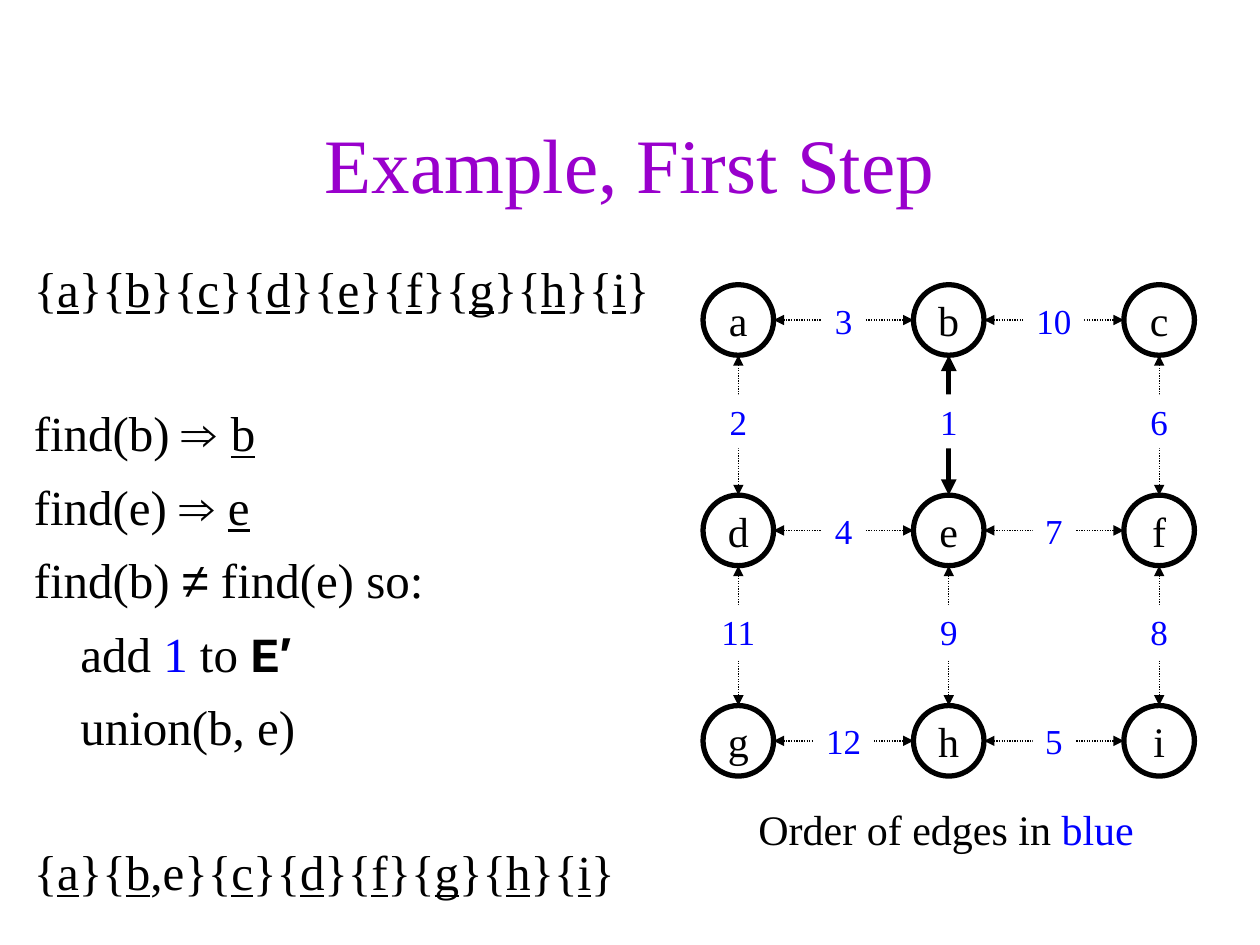
from lxml.etree import SubElement
from pptx import Presentation
from pptx.dml.color import RGBColor
from pptx.enum.dml import MSO_LINE
from pptx.enum.shapes import MSO_CONNECTOR, MSO_SHAPE
from pptx.enum.text import MSO_ANCHOR, PP_ALIGN
from pptx.oxml.ns import qn
from pptx.util import Inches, Pt

COLORS = {name: RGBColor.from_string(code) for name, code in {
    "title": "9900CC", "ink": "000000", "blue": "0000FF", "paper": "FFFFFF"}.items()}
SERIF = "Times New Roman"


def style(font, size, color):
    font.name = SERIF
    font.size = Pt(size)
    font.color.rgb = COLORS[color]


def add_label(kind, text, center_x, center_y, width, height, size, color):
    shape = page.shapes.add_shape(kind, Inches(center_x - width / 2), Inches(center_y - height / 2),
                                  Inches(width), Inches(height))
    shape.shadow.inherit = False
    frame = shape.text_frame
    frame.word_wrap = False
    frame.vertical_anchor = MSO_ANCHOR.MIDDLE
    para = frame.paragraphs[0]
    para.text = text
    para.alignment = PP_ALIGN.CENTER
    style(para.font, size, color)
    return shape


deck = Presentation()
deck.slide_width = Inches(10)
deck.slide_height = Inches(7.5)
page = deck.slides.add_slide(deck.slide_layouts[5])

title = page.shapes.title
title.left, title.top, title.width, title.height = [Inches(n) for n in (0.75, 0.67, 8.5, 1.25)]
title.text_frame.vertical_anchor = MSO_ANCHOR.MIDDLE
heading = title.text_frame.paragraphs[0]
heading.text = "Example, First Step"
heading.alignment = PP_ALIGN.CENTER
style(heading.font, 44, "title")

sets_before = [("{", "")]
sets_after = [("{", "")]
for name in "abcdefghi":
    ending = "}" if name == "i" else "}{"
    sets_before += [(name, "underline"), (ending, "")]
    if name != "e":
        sets_after += [(name, "underline"), (",e}{" if name == "b" else ending, "")]

LINE_GAP, BLOCK_GAP = 8.4, 49
steps = [
    (0, LINE_GAP, sets_before),
    (0, BLOCK_GAP, [("find(b) ", ""), ("⇒ ", "arial"), ("b", "underline")]),
    (0, LINE_GAP, [("find(e) ", ""), ("⇒ ", "arial"), ("e", "underline")]),
    (0, LINE_GAP, [("find(b) ", ""), ("≠", "arial"), (" find(e) so:", "")]),
    (0.37, LINE_GAP, [("add ", ""), ("1", "blue"), (" to ", ""),
                      ("E", "courier bold"), ("′", "arial bold")]),
    (0.37, LINE_GAP, [("union(b, e)", "")]),
    (0, BLOCK_GAP, sets_after),
]
box = page.shapes.add_textbox(Inches(0.17), Inches(2), Inches(5.17), Inches(4.5))
frame = box.text_frame
frame.word_wrap = True
for number, (indent, gap, pieces) in enumerate(steps):
    para = frame.add_paragraph() if number else frame.paragraphs[0]
    para.space_before = Pt(gap)
    para._p.get_or_add_pPr().set("marL", str(Inches(indent)))
    style(para.font, 28, "ink")
    for text, look in pieces:
        span = para.add_run()
        span.text = text
        if "underline" in look:
            span.font.underline = True
        if "bold" in look:
            span.font.bold = True
        if "arial" in look:
            span.font.name = "Arial"
        if "courier" in look:
            span.font.name = "Courier New"
        if "blue" in look:
            span.font.color.rgb = COLORS["blue"]

LEFT, TOP, STEP, RADIUS = 5.86, 2.54, 1.67, 0.28
nodes = ["abc", "def", "ghi"]
across = [["3", "10"], ["4", "7"], ["12", "5"]]
down = [["2", "1", "6"], ["11", "9", "8"]]

for row, names in enumerate(nodes):
    for column, name in enumerate(names):
        node = add_label(MSO_SHAPE.OVAL, name, LEFT + column * STEP, TOP + row * STEP,
                         2 * RADIUS, 2 * RADIUS, 24, "ink")
        node.fill.background()
        node.line.color.rgb = COLORS["ink"]
        node.line.width = Pt(3)

edges = [(order, row, column, 1, 0) for row, orders in enumerate(across)
         for column, order in enumerate(orders)]
edges += [(order, row, column, 0, 1) for row, orders in enumerate(down)
          for column, order in enumerate(orders)]
for order, row, column, dx, dy in edges:
    x, y = LEFT + column * STEP, TOP + row * STEP
    near, far = RADIUS, STEP - RADIUS
    edge = page.shapes.add_connector(
        MSO_CONNECTOR.STRAIGHT, Inches(x + dx * near), Inches(y + dy * near),
        Inches(x + dx * far), Inches(y + dy * far))
    edge.line.color.rgb = COLORS["ink"]
    chosen = order == "1"
    edge.line.width = Pt(3 if chosen else 0.75)
    if not chosen:
        edge.line.dash_style = MSO_LINE.ROUND_DOT
    outline = edge.line._get_or_add_ln()
    for end in ("a:headEnd", "a:tailEnd"):
        SubElement(outline, qn(end), type="triangle")
    SubElement(edge._element.spPr, qn("a:effectLst"))

    width = 0.45 if dy else 0.2 + 0.14 * len(order)
    label = add_label(MSO_SHAPE.RECTANGLE, order, x + dx * STEP / 2,
                      y + dy * (STEP / 2 - 0.03), width, 0.43, 20, "blue")
    label.fill.solid()
    label.fill.fore_color.rgb = COLORS["paper"]
    label.line.fill.background()

caption = page.shapes.add_textbox(Inches(5.92), Inches(6.33), Inches(3.18), Inches(0.5))
caption.text_frame.word_wrap = False
para = caption.text_frame.paragraphs[0]
style(para.font, 24, "ink")
para.add_run().text = "Order of edges in "
span = para.add_run()
span.text = "blue"
span.font.color.rgb = COLORS["blue"]

deck.save("out.pptx")
